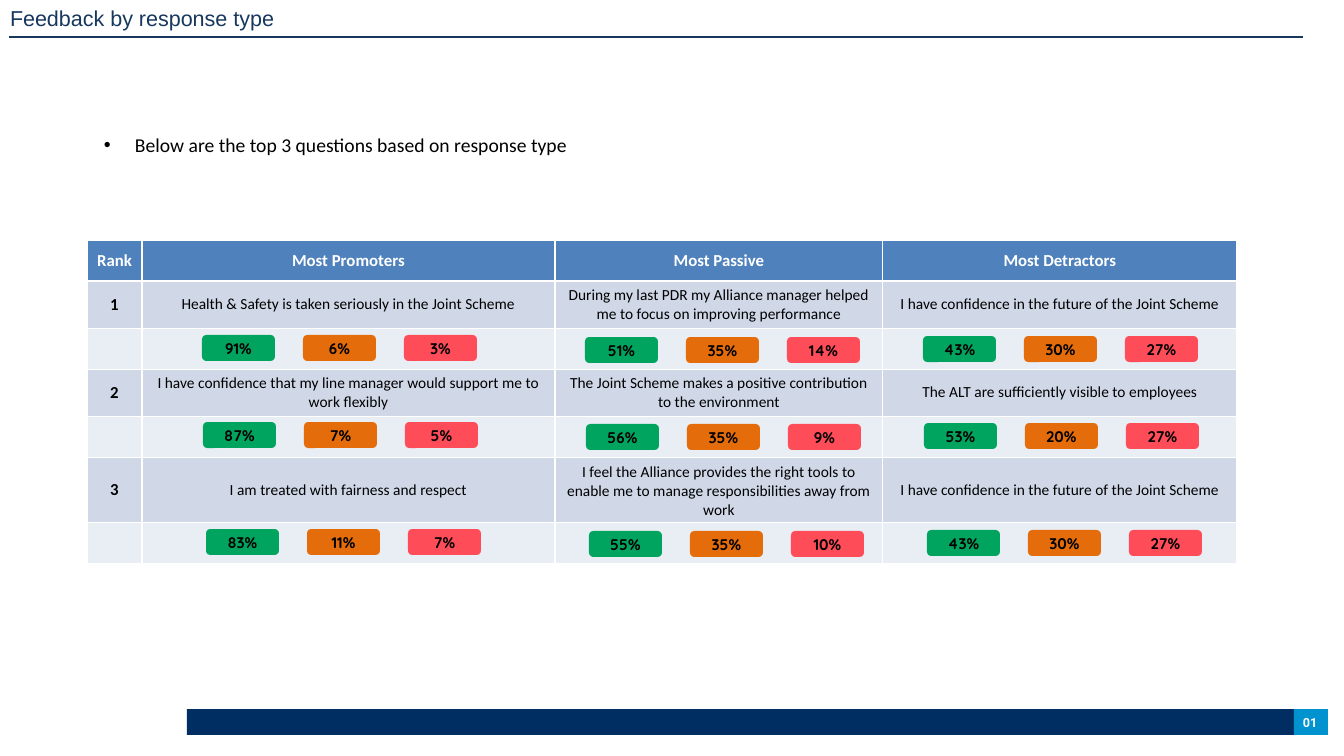
from pptx import Presentation
from pptx.dml.color import RGBColor as RGB
from pptx.enum.shapes import MSO_CONNECTOR as LINE, MSO_SHAPE as SHAPE
from pptx.enum.text import MSO_ANCHOR as ANCHOR, PP_ALIGN as ALIGN
from pptx.oxml.ns import qn
from pptx.util import Pt
from lxml import etree


class Theme:
    navy, sky, title = "002D62", "0093D0", "17375E"
    header, question, score = "4F81BD", "D0D8E8", "E9EDF4"
    ratings = "00A45F", "E46C0A", "FF4C59"
    black, white = "000000", "FFFFFF"
    title_size, intro_size, head_size, body_size, page_size = 15.4, 14, 12, 11, 9


def px(*values):
    return [round(v * 914400 / 100.8) for v in values]


def write(tf, text, font, size, color, bold=False, align=None):
    p = tf.paragraphs[0]
    p.text = text
    p.alignment = align
    p.font.name, p.font.size, p.font.bold = font, Pt(size), bold
    p.font.color.rgb = RGB.from_string(color)
    return p


prs = Presentation()
prs.slide_width, prs.slide_height = px(1344, 756)
s = prs.slides.add_slide(prs.slide_layouts[6])

for x, w, color in ((187, 1107, Theme.navy), (1294, 34, Theme.sky)):
    sp = s.shapes.add_shape(SHAPE.RECTANGLE, *px(x, 709, w, 26))
    sp.shadow.inherit = False
    sp.fill.solid()
    sp.fill.fore_color.rgb = RGB.from_string(color)
    sp.line.fill.background()

for box, text, font, size, color, bold in (
    ((1302, 714, 16, 16), "01", "Roboto", Theme.page_size, Theme.white, True),
    ((9, 4, 426, 27), "Feedback by response type", "Arial", Theme.title_size, Theme.title, False),
):
    tf = s.shapes.add_textbox(*px(*box)).text_frame
    tf.word_wrap = True
    tf.margin_left, tf.margin_top, tf.margin_right, tf.margin_bottom = px(0, 1, 0, 0)
    p = write(tf, text, font, size, color, bold)
    p.space_before = Pt(0.6)
    p._p.get_or_add_pPr().set("marL", str(px(1)[0]))

rule = s.shapes.add_connector(LINE.STRAIGHT, *px(9, 37, 1303, 37))
rule.line.color.rgb = RGB.from_string(Theme.title)
rule.line.width = Pt(0.75)
etree.SubElement(rule._element.spPr, qn("a:effectLst"))

tf = s.shapes.add_textbox(*px(94, 128, 1284, 34)).text_frame
tf.word_wrap = True
p = write(tf, "Below are the top 3 questions based on response type",
          "Calibri", Theme.intro_size, Theme.black)
pPr = p._p.get_or_add_pPr()
indent = px(31)[0]
pPr.set("marL", str(indent))
pPr.set("indent", str(-indent))
bullet_font = etree.Element(qn("a:buFont"), typeface="Arial")
bullet = etree.Element(qn("a:buChar"), char="•")
pPr.insert(0, bullet_font)
pPr.insert(1, bullet)

headings = "Rank", "Most Promoters", "Most Passive", "Most Detractors"
questions = (
    ("Health & Safety is taken seriously in the Joint Scheme",
     "During my last PDR my Alliance manager helped me to focus on improving performance",
     "I have confidence in the future of the Joint Scheme"),
    ("I have confidence that my line manager would support me to work flexibly",
     "The Joint Scheme makes a positive contribution to the environment",
     "The ALT are sufficiently visible to employees"),
    ("I am treated with fairness and respect",
     "I feel the Alliance provides the right tools to enable me to manage responsibilities away from work",
     "I have confidence in the future of the Joint Scheme"),
)
rows = [headings]
for rank, texts in enumerate(questions, 1):
    rows += [(str(rank), *texts), ("",) * 4]

table = s.shapes.add_table(7, 4, *px(87, 240, 1150, 287)).table
for column, width in zip(table.columns, px(55, 413, 328, 354)):
    column.width = width
for r, texts in enumerate(rows):
    table.rows[r].height = px(41)[0]
    fill = Theme.header if r == 0 else Theme.question if r % 2 else Theme.score
    for c, text in enumerate(texts):
        cell = table.cell(r, c)
        cell.fill.solid()
        cell.fill.fore_color.rgb = RGB.from_string(fill)
        cell.vertical_anchor = ANCHOR.MIDDLE
        if text:
            strong = r == 0 or c == 0
            write(cell.text_frame, text, "Calibri",
                  Theme.head_size if strong else Theme.body_size,
                  Theme.white if r == 0 else Theme.black, strong, ALIGN.CENTER)

scores = (
    ((91, 6, 3), (51, 35, 14), (43, 30, 27)),
    ((87, 7, 5), (56, 35, 9), (53, 20, 27)),
    ((83, 11, 7), (55, 35, 10), (43, 30, 27)),
)
row_starts = (202, 335), (203, 422), (206, 529)
column_offsets = (0, 0), (383, 2), (721, 1)
for (x, y), groups in zip(row_starts, scores):
    for (dx, dy), values in zip(column_offsets, groups):
        for i, (value, color) in enumerate(zip(values, Theme.ratings)):
            sp = s.shapes.add_shape(SHAPE.ROUNDED_RECTANGLE,
                                    *px(x + dx + i * 101, y + dy, 73, 26))
            sp.shadow.inherit = False
            sp.fill.solid()
            sp.fill.fore_color.rgb = RGB.from_string(color)
            sp.line.fill.background()
            sp.text_frame.vertical_anchor = ANCHOR.MIDDLE
            write(sp.text_frame, f"{value}%", "Quicksand", Theme.body_size,
                  Theme.black, True, ALIGN.CENTER)

prs.save("out.pptx")
